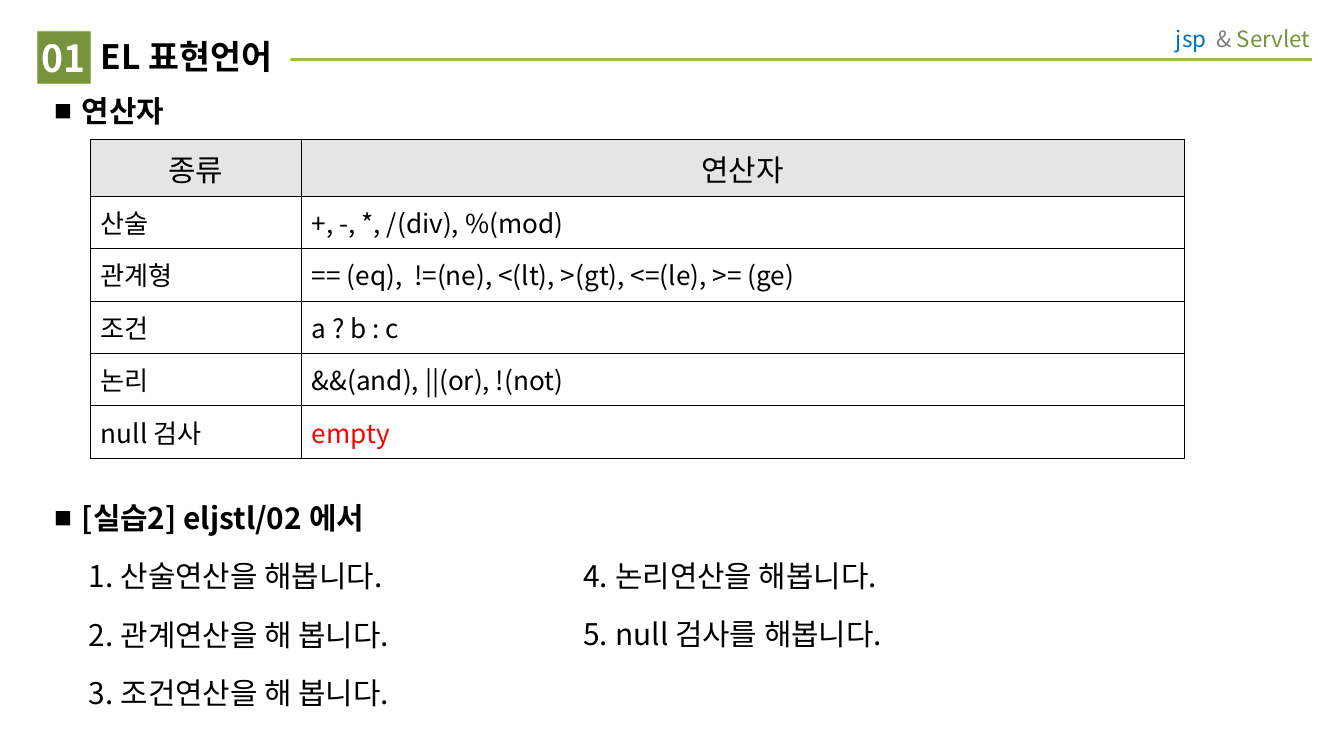
"""Build the slide on the operators of the EL expression language."""
from lxml.etree import SubElement
from pptx import Presentation
from pptx.dml.color import RGBColor
from pptx.enum.shapes import MSO_CONNECTOR, MSO_SHAPE
from pptx.enum.text import MSO_ANCHOR as Anchor, MSO_AUTO_SIZE as AutoSize, PP_ALIGN as Align
from pptx.oxml.ns import qn
from pptx.util import Inches, Pt

FONT = "Noto Sans CJK KR"
BLACK = RGBColor(0x00, 0x00, 0x00)
WHITE = RGBColor(0xFF, 0xFF, 0xFF)
GREEN = RGBColor(0x77, 0x93, 0x3C)
LIGHT_GREEN = RGBColor(0x9B, 0xBB, 0x59)
BLUE = RGBColor(0x00, 0x70, 0xC0)
GRAY = RGBColor(0x7F, 0x7F, 0x7F)
RED = RGBColor(0xFF, 0x00, 0x00)
HEADER_FILL = RGBColor(0xE5, 0xE5, 0xE5)


def add_span(para, text, size, color=BLACK, bold=False):
    span = para.add_run()
    span.text = text
    span.font.size = Pt(size)
    span.font.bold = bold
    span.font.color.rgb = color
    span.font.name = FONT
    SubElement(span.font._element, qn("a:ea"), typeface=FONT)


def set_frame(frame, left, top, right, bottom, anchor=Anchor.TOP):
    frame.word_wrap = True
    frame.auto_size = AutoSize.NONE
    frame.vertical_anchor = anchor
    frame.margin_left, frame.margin_top = Inches(left), Inches(top)
    frame.margin_right, frame.margin_bottom = Inches(right), Inches(bottom)


deck = Presentation()
deck.slide_width, deck.slide_height = Inches(10), Inches(10) * 9 // 16
page = deck.slides.add_slide(deck.slide_layouts[5])

title = page.shapes.title
title.left, title.top = Inches(0.67), Inches(0.23)
title.width, title.height = Inches(1.49), Inches(0.39)
title.fill.solid()
title.fill.fore_color.rgb = WHITE
set_frame(title.text_frame, 0.08, 0.04, 0, 0.04)
para = title.text_frame.paragraphs[0]
para.alignment = Align.LEFT
add_span(para, "EL 표현언어", 18, bold=True)

rule = page.shapes.add_connector(
    MSO_CONNECTOR.STRAIGHT, Inches(9.76), Inches(0.44), Inches(0.71), Inches(0.44))
rule.line.color.rgb = LIGHT_GREEN
rule.line.width = Pt(1.5)
SubElement(rule._element.spPr, qn("a:effectLst"))
title._element.addprevious(rule._element)

course = page.shapes.add_textbox(Inches(8.31), Inches(0.11), Inches(1.54), Inches(0.36))
set_frame(course.text_frame, 0.1, 0.08, 0.1, 0.08)
para = course.text_frame.paragraphs[0]
para.alignment = Align.RIGHT
for text, color in (("jsp  ", BLUE), ("& ", GRAY), ("Servlet", GREEN)):
    add_span(para, text, 12, color)

badge = page.shapes.add_shape(
    MSO_SHAPE.RECTANGLE, Inches(0.28), Inches(0.23), Inches(0.39), Inches(0.39))
badge.shadow.inherit = False
badge.fill.solid()
badge.fill.fore_color.rgb = GREEN
badge.line.color.rgb = LIGHT_GREEN
badge.line.width = Pt(0.25)
set_frame(badge.text_frame, 0, 0, 0, 0, Anchor.MIDDLE)
para = badge.text_frame.paragraphs[0]
para.alignment = Align.CENTER
add_span(para, "01", 20, WHITE, True)

sections = [
    (0.31, 0.64, 8.62, "연산자", 1, []),
    (0.31, 3.67, 8.62, "[실습2] eljstl/02 에서", 1,
     ["산술연산을 해봅니다.", "관계연산을 해 봅니다.", "조건연산을 해 봅니다."]),
    (3.99, 4.1, 5.22, None, 4, ["논리연산을 해봅니다.", "null 검사를 해봅니다."]),
]
for left, top, width, heading, start, steps in sections:
    box = page.shapes.add_textbox(Inches(left), Inches(top), Inches(width), Inches(0.83))
    frame = box.text_frame
    set_frame(frame, 0.1, 0.05, 0.1, 0.05)
    lines = ([(heading, True)] if heading else []) + [(step, False) for step in steps]
    for index, (text, is_heading) in enumerate(lines):
        para = frame.add_paragraph() if index else frame.paragraphs[0]
        if index:
            para.space_before = Pt(12)
        indent, hang = (0.2, 0.2) if is_heading else (0.49, 0.24)
        props = para._p.get_or_add_pPr()
        props.set("marL", str(Inches(indent)))
        props.set("indent", str(-Inches(hang)))
        SubElement(SubElement(props, qn("a:buClr")), qn("a:srgbClr"), val=str(BLACK))
        if is_heading:
            SubElement(props, qn("a:buSzPct"), val="60000")
        SubElement(props, qn("a:buFont"), typeface=FONT)
        if is_heading:
            SubElement(props, qn("a:buChar"), char="■")
        else:
            para.level = 1
            SubElement(props, qn("a:buAutoNum"), type="arabicPeriod", startAt=str(start))
        add_span(para, text, 16, bold=is_heading)

operators = [
    ("종류", "연산자"),
    ("산술", "+, -, *, /(div), %(mod)"),
    ("관계형", "== (eq),  !=(ne), <(lt), >(gt), <=(le), >= (ge)"),
    ("조건", "a ? b : c"),
    ("논리", "&&(and), ||(or), !(not)"),
    ("null 검사", "empty"),
]
table = page.shapes.add_table(
    len(operators), 2, Inches(0.67), Inches(1.04), Inches(8.14), Inches(2.22)).table
table.first_row = table.horz_banding = False
for column, width in zip(table.columns, (1.57, 6.57)):
    column.width = Inches(width)
for row_index, texts in enumerate(operators):
    is_header = row_index == 0
    table.rows[row_index].height = Inches(0.27 if is_header else 0.39)
    for column_index, text in enumerate(texts):
        cell = table.cell(row_index, column_index)
        cell.margin_left = cell.margin_right = Inches(0.08)
        cell.margin_top = cell.margin_bottom = Inches(0.05)
        cell.vertical_anchor = Anchor.MIDDLE if is_header else Anchor.TOP
        for side in ("lnL", "lnR", "lnT", "lnB"):
            border = SubElement(cell._tc.get_or_add_tcPr(), qn(f"a:{side}"), w=str(Pt(0.45)))
            SubElement(SubElement(border, qn("a:solidFill")), qn("a:srgbClr"), val=str(BLACK))
        if is_header:
            cell.fill.solid()
            cell.fill.fore_color.rgb = HEADER_FILL
        else:
            cell.fill.background()
        para = cell.text_frame.paragraphs[0]
        para.alignment = Align.CENTER if is_header else Align.LEFT
        add_span(para, text, 16 if is_header else 14, RED if text == "empty" else BLACK)

deck.save("out.pptx")
